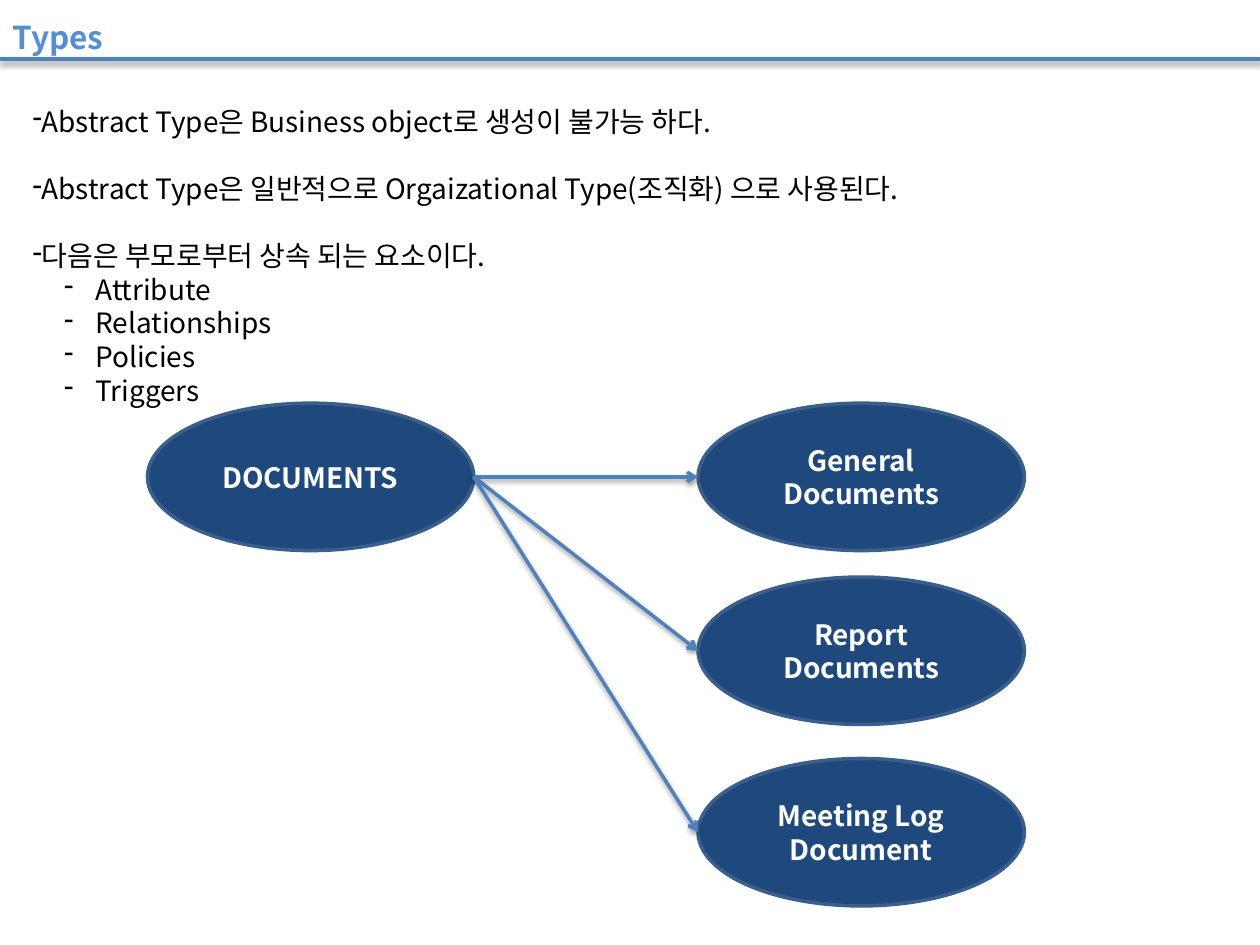
from collections import namedtuple
from dataclasses import dataclass

from lxml import etree
from pptx import Presentation
from pptx import util as u
from pptx.dml.color import RGBColor
from pptx.enum import shapes, text
from pptx.oxml import parse_xml
from pptx.oxml.ns import nsdecls, qn

Box = namedtuple("Box", "left top width height")


@dataclass(frozen=True)
class Theme:
    """Colours, type sizes and line weight of the slide."""
    font: str = "Noto Sans CJK KR"
    title: str = "558ED5"
    body: str = "000000"
    light: str = "FFFFFF"
    rule: str = "4F81BD"
    node: str = "1F497D"
    node_line: str = "3A5F8C"
    title_size: int = 18
    body_size: int = 16
    weight: int = 2


THEME = Theme()
COLUMNS, ROWS = 100, 75
CELL = u.Inches(0.1)
LINE_PITCH = 19.2
STATEMENTS = (
    "Abstract Type은 Business object로 생성이 불가능 하다.",
    "Abstract Type은 일반적으로 Orgaizational Type(조직화) 으로 사용된다.",
    "다음은 부모로부터 상속 되는 요소이다.",
)
INHERITED = ("Attribute", "Relationships", "Policies", "Triggers")
PARENT = "DOCUMENTS"
CHILDREN = (("General Documents", 0), ("Report Documents", 13.8), ("Meeting Log Document", 28.2))


def cells(*counts):
    """Turn counts of grid cells into slide lengths."""
    return [u.Emu(round(count * CELL)) for count in counts]


def add_span(para, words, size, colour, bold=False):
    """Add one styled run to a paragraph."""
    span = para.add_run()
    span.text = words
    span.font.size = u.Pt(size)
    span.font.bold = bold
    span.font.color.rgb = RGBColor.from_string(colour)
    span.font.name = THEME.font
    latin = span.font._element.find(qn("a:latin"))
    east_asian = etree.Element(qn("a:ea"), typeface=THEME.font)
    latin.addnext(east_asian)


def add_dash(para, margin=0.0, hanging=0.0):
    """Give a paragraph a dash bullet and its indents."""
    properties = para._p.get_or_add_pPr()
    properties.set("marL", str(u.Inches(margin)))
    properties.set("indent", str(-u.Inches(hanging)))
    etree.SubElement(properties, qn("a:buFontTx"))
    etree.SubElement(properties, qn("a:buChar"), char="-")


def add_line(page, start, end, arrow=False):
    """Draw a softly shadowed line between two grid points."""
    line = page.shapes.add_connector(shapes.MSO_CONNECTOR.STRAIGHT, *cells(*start, *end))
    line.line.color.rgb = RGBColor.from_string(THEME.rule)
    line.line.width = u.Pt(THEME.weight)
    if arrow:
        etree.SubElement(line.line._get_or_add_ln(), qn("a:tailEnd"), type="arrow")
    line._element.spPr.append(parse_xml(
        f'<a:effectLst {nsdecls("a")}>'
        f'<a:outerShdw blurRad="{u.Pt(3.1)}" dist="{u.Pt(1.6)}" dir="5400000" rotWithShape="0">'
        '<a:srgbClr val="000000"><a:alpha val="38000"/></a:srgbClr>'
        '</a:outerShdw></a:effectLst>'))


def add_text_frame(page, box):
    """Add a wrapping text box and return its frame."""
    frame = page.shapes.add_textbox(*cells(*box)).text_frame
    frame.word_wrap = True
    return frame


def add_header(page, box):
    """Place the title above a rule along the foot of the box."""
    foot = box.top + box.height
    add_line(page, (box.left, foot), (box.left + box.width, foot))
    frame = add_text_frame(page, Box(box.left, box.top + 0.9, 72.7, 4))
    add_span(frame.paragraphs[0], "Types", THEME.title_size, THEME.title, bold=True)


def add_statements(page, box):
    """List the statements, then the inherited elements beneath them."""
    frame = add_text_frame(page, box)
    for index, words in enumerate(STATEMENTS + INHERITED):
        para = frame.add_paragraph() if index else frame.paragraphs[0]
        if index < len(STATEMENTS):
            add_dash(para)
            para.space_before = u.Pt(LINE_PITCH if index else 0)
        else:
            para.level = 1
            add_dash(para, margin=0.5, hanging=0.25)
        add_span(para, words, THEME.body_size, THEME.body)


def add_node(page, box, words):
    """Place one labelled ellipse."""
    node = page.shapes.add_shape(shapes.MSO_SHAPE.OVAL, *cells(*box))
    node.shadow.inherit = False
    node.fill.solid()
    node.fill.fore_color.rgb = RGBColor.from_string(THEME.node)
    node.line.color.rgb = RGBColor.from_string(THEME.node_line)
    node.line.width = u.Pt(THEME.weight)
    frame = node.text_frame
    frame.word_wrap = True
    frame.vertical_anchor = text.MSO_ANCHOR.MIDDLE
    para = frame.paragraphs[0]
    para.alignment = text.PP_ALIGN.CENTER
    add_span(para, words, THEME.body_size, THEME.light, bold=True)


def add_type_tree(page, box):
    """Place the parent type at the left, its children at the right, and arrows between."""
    width, height = 25.9, 11.7
    child_left = box.left + box.width - width
    start = (box.left + width, box.top + height / 2)
    add_node(page, Box(box.left, box.top, width, height), PARENT)
    for words, drop in CHILDREN:
        add_node(page, Box(child_left, box.top + drop, width, height), words)
    for words, drop in CHILDREN:
        add_line(page, start, (child_left, start[1] + drop), arrow=True)


def main():
    """Build and save the slide."""
    deck = Presentation()
    deck.slide_width, deck.slide_height = cells(COLUMNS, ROWS)
    page = deck.slides.add_slide(deck.slide_layouts[6])
    add_header(page, Box(0, 0, COLUMNS, 4.7))
    add_statements(page, Box(1.6, 7.8, 96.9, 27.9))
    add_type_tree(page, Box(11.7, 32, 69.6, 39.9))
    deck.save("out.pptx")


if __name__ == "__main__":
    main()
